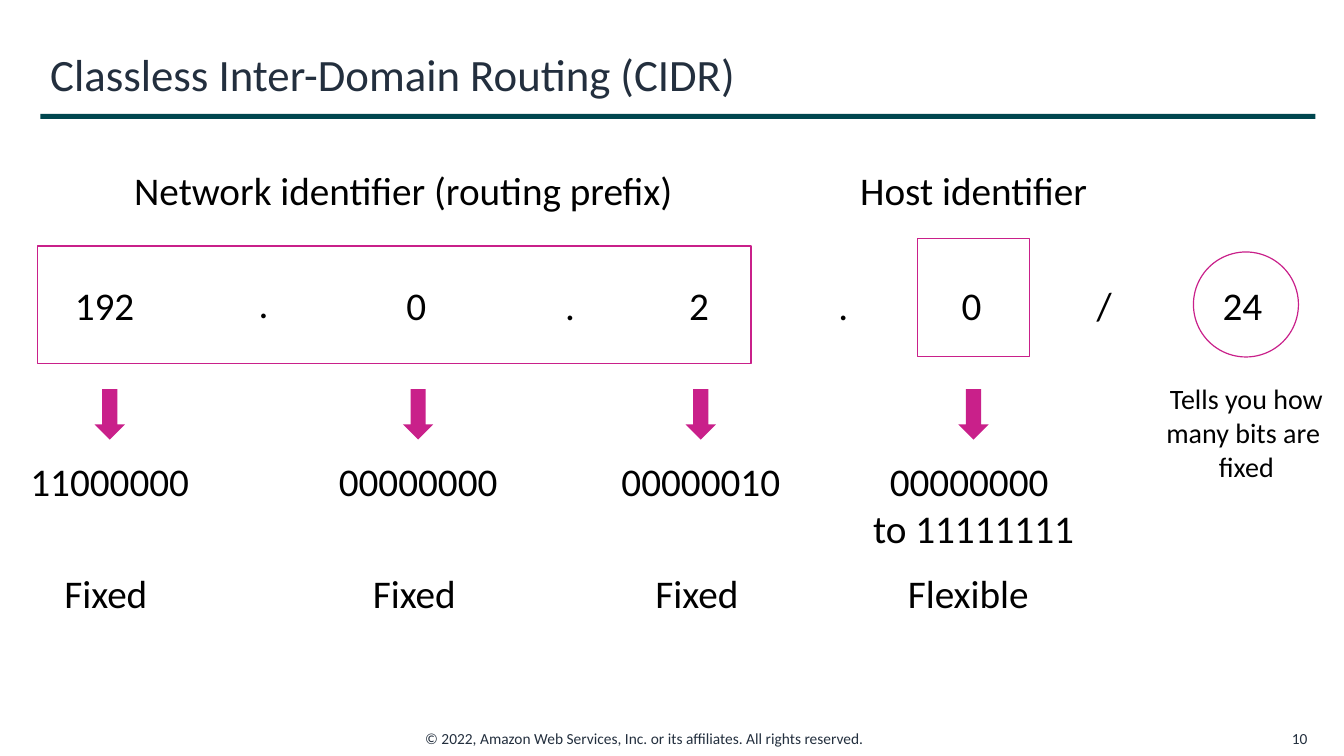
from dataclasses import dataclass

from pptx import Presentation
from pptx.dml.color import RGBColor
from pptx.enum.shapes import MSO_SHAPE as SHAPE
from pptx.enum.text import MSO_ANCHOR as ANCHOR, MSO_AUTO_SIZE as AUTO, PP_ALIGN as ALIGN
from pptx.util import Pt


@dataclass(frozen=True)
class Theme:
    font: str = "Calibri"
    black: str = "000000"
    navy: str = "232F3E"
    teal: str = "00464F"
    magenta: str = "C9208A"
    title: int = 32
    body: int = 28
    note: int = 20
    footer: int = 11
    outline: float = 0.85


THEME = Theme()
LINE_H = 41
VALUE_Y = 197.3
ARROW_Y, ARROW_W, ARROW_H = 278, 21.6, 36
BINARY_Y, STATUS_Y, HEADING_Y = 323.3, 403.2, 115.2

OCTETS = [
    (78.4, "192", 64, "11000000", 147, "Fixed", 79),
    (298.7, "0", 31, "00000000", 147, "Fixed", 79),
    (500.6, "2", 31, "00000010", 147, "Fixed", 79),
    (695.4, "0", 31, "00000000 \vto 11111111", 181, "Flexible", 108),
]
SEPARATORS = [(188.3, 195.8, "."), (407.2, VALUE_Y, "."), (602.3, VALUE_Y, "."), (788.8, VALUE_Y, "/")]
HEADINGS = [(288, 428, "Network identifier (routing prefix)"), (695.4, 190, "Host identifier")]
OUTLINES = [
    (SHAPE.RECTANGLE, 26.6, 175.7, 509.8, 84.2),
    (SHAPE.RECTANGLE, 655.2, 170.6, 80, 84.2),
    (SHAPE.OVAL, 852.5, 180, 75, 75),
]


def add_text(slide, text, x, y, w, h=LINE_H, size=THEME.body, color=THEME.black,
             align=ALIGN.LEFT, anchor=ANCHOR.TOP, wrap=False):
    tf = slide.shapes.add_textbox(Pt(x), Pt(y), Pt(w), Pt(h)).text_frame
    tf.word_wrap = wrap
    tf.auto_size = AUTO.NONE if wrap else AUTO.SHAPE_TO_FIT_TEXT
    tf.vertical_anchor = anchor
    tf.text = text
    p = tf.paragraphs[0]
    p.alignment = align
    for r in p.runs:
        r.font.name = THEME.font
        r.font.size = Pt(size)
        r.font.color.rgb = RGBColor.from_string(color)


def add_centered(slide, text, center, y, w, **style):
    add_text(slide, text, center - w / 2, y, w, align=ALIGN.CENTER, **style)


def add_filled(slide, kind, x, y, w, h, color):
    sp = slide.shapes.add_shape(kind, Pt(x), Pt(y), Pt(w), Pt(h))
    sp.shadow.inherit = False
    sp.fill.solid()
    sp.fill.fore_color.rgb = RGBColor.from_string(color)
    sp.line.fill.background()


def add_outline(slide, kind, x, y, w, h):
    sp = slide.shapes.add_shape(kind, Pt(x), Pt(y), Pt(w), Pt(h))
    sp.shadow.inherit = False
    sp.fill.background()
    sp.line.color.rgb = RGBColor.from_string(THEME.magenta)
    sp.line.width = Pt(THEME.outline)


def add_octet(slide, center, value, value_w, binary, binary_w, status, status_w):
    add_text(slide, value, center - value_w / 2, VALUE_Y, value_w)
    add_filled(slide, SHAPE.DOWN_ARROW, center - ARROW_W / 2, ARROW_Y, ARROW_W, ARROW_H, THEME.magenta)
    add_centered(slide, binary, center, BINARY_Y, binary_w, h=LINE_H if "\v" not in binary else 75)
    add_text(slide, status, center - status_w / 2, STATUS_Y, status_w)


def add_frame(slide):
    add_text(slide, "© 2022, Amazon Web Services, Inc. or its affiliates. All rights reserved.",
             296.6, 517, 366.5, 21, THEME.footer, THEME.navy)
    add_filled(slide, SHAPE.RECTANGLE, 28.8, 81.4, 910.8, 3.6, THEME.teal)
    add_text(slide, "10", 902.9, 517, 38.2, 21, THEME.footer, THEME.navy,
             ALIGN.RIGHT, ANCHOR.MIDDLE, wrap=True)
    add_text(slide, "Classless Inter-Domain Routing (CIDR)", 28.8, 23.8, 910.8, 57.6,
             THEME.title, THEME.navy, anchor=ANCHOR.MIDDLE, wrap=True)


def main():
    prs = Presentation()
    prs.slide_width, prs.slide_height = Pt(960), Pt(540)
    slide = prs.slides.add_slide(prs.slide_layouts[6])
    add_frame(slide)
    for center, w, text in HEADINGS:
        add_centered(slide, text, center, HEADING_Y, w)
    for outline in OUTLINES:
        add_outline(slide, *outline)
    for octet in OCTETS:
        add_octet(slide, *octet)
    for center, y, mark in SEPARATORS:
        add_centered(slide, mark, center, y, 64, wrap=True)
    add_text(slide, "24", 866.2, VALUE_Y, 47.5)
    add_centered(slide, "Tells you how\vmany bits are \vfixed", 890.3, 269.3, 130.3,
                 h=80, size=THEME.note)
    prs.save("out.pptx")


if __name__ == "__main__":
    main()
